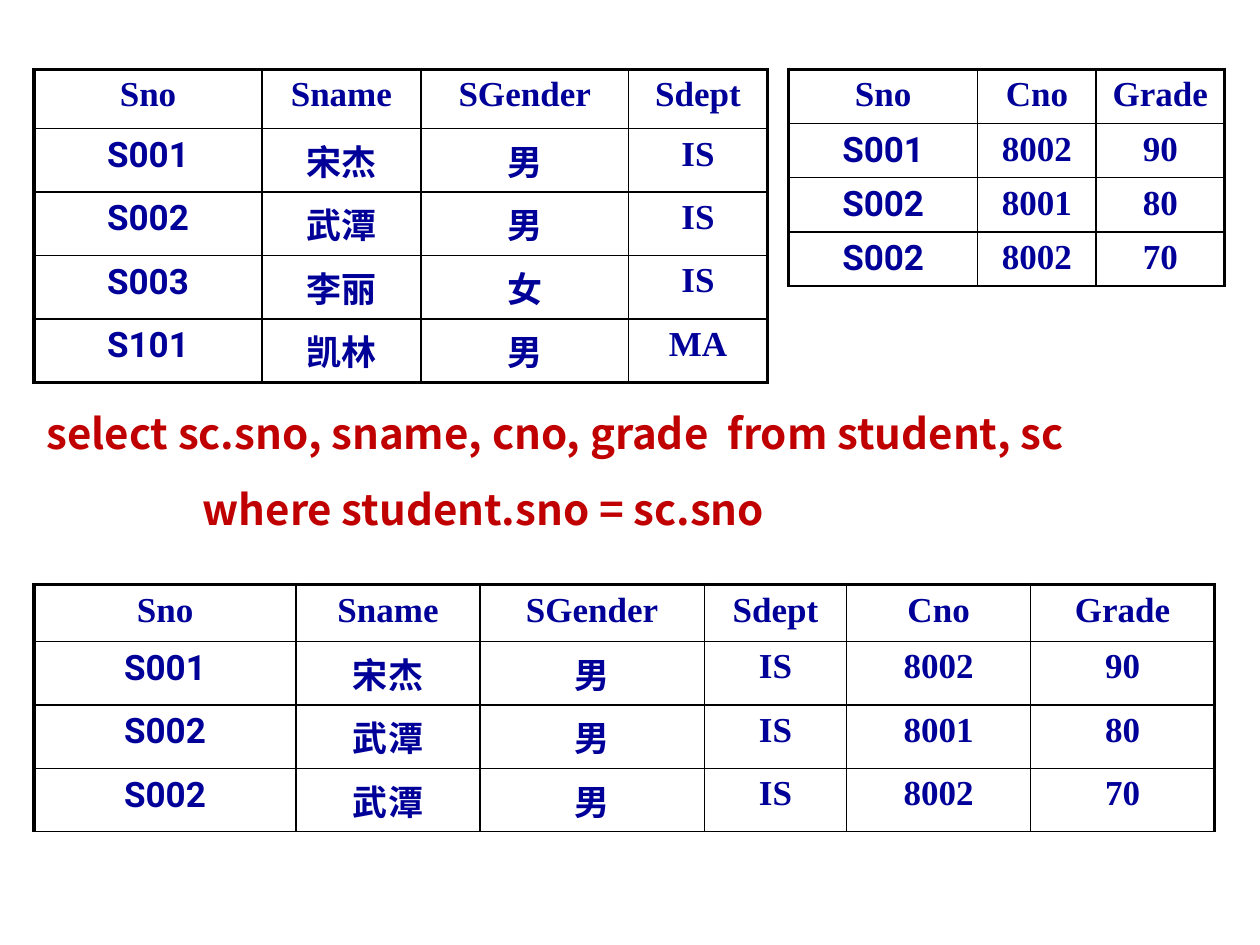
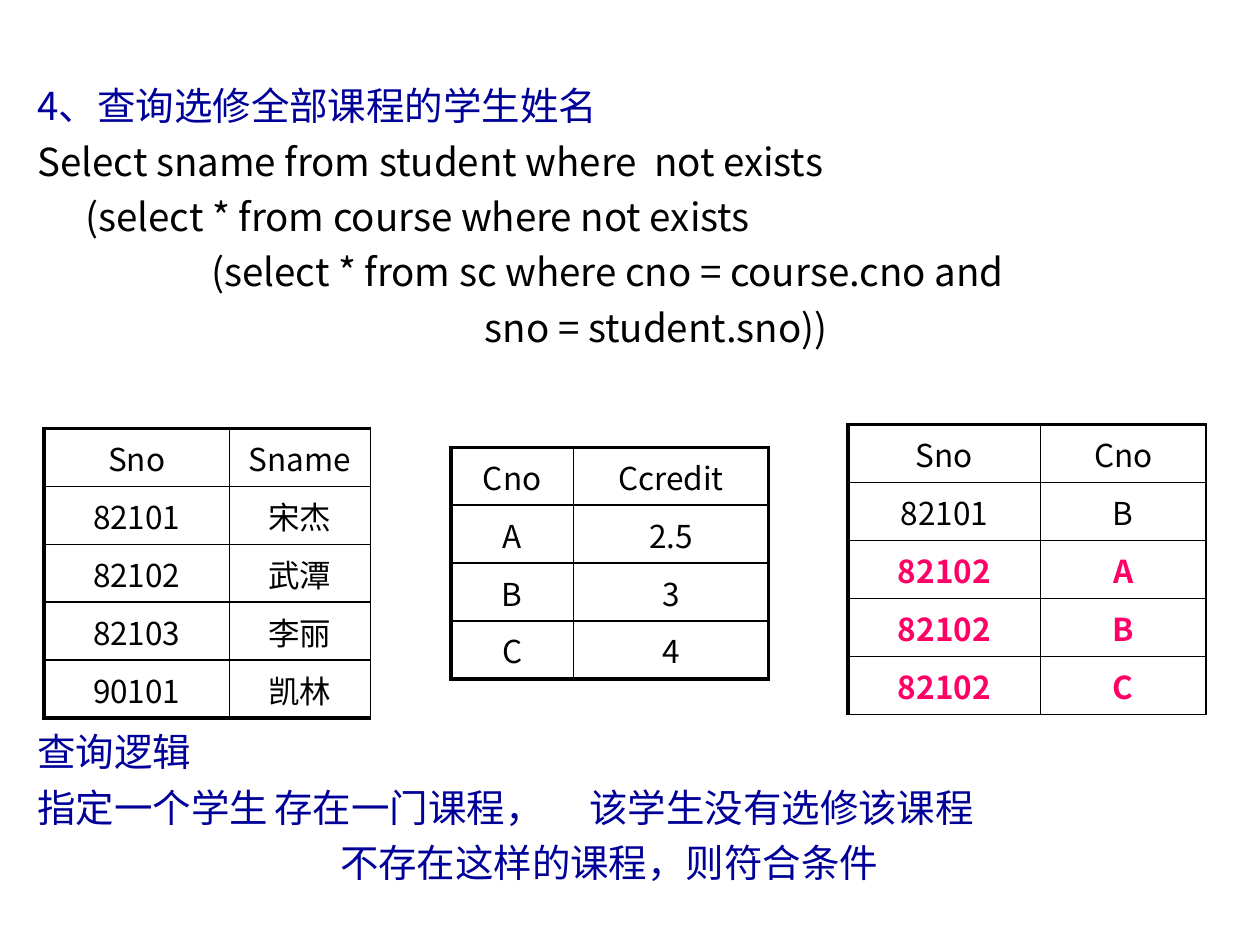
import pptx
import pptx.util
import pptx.dml.color
import pptx.enum.text
import pptx.oxml
import pptx.oxml.ns
import lxml.etree


class Theme:
    navy = "000099"
    red = "C00000"
    pink = "FF0066"
    black = "000000"
    sans = "Noto Sans CJK SC"
    serif = "Times New Roman"
    code = "Roboto"
    query = 24
    body = 22
    big = 20
    small = 18
    thick = 2.25
    thin = 1


qn = pptx.oxml.ns.qn
Pt = pptx.util.Pt
deck = pptx.Presentation()
deck.slide_width = pptx.util.Inches(10)
deck.slide_height = pptx.util.Inches(7.5)
col = deck.slide_width // 100
row = deck.slide_height // 75


def style(para, face, size, tint, bold=False):
    font = para.font
    font.name = face
    font.size = Pt(size)
    font.bold = bold
    font.color.rgb = pptx.dml.color.RGBColor.from_string(tint)
    latin = para._p.find(".//" + qn("a:latin"))
    east = lxml.etree.Element(qn("a:ea"), typeface=Theme.sans)
    latin.addnext(east)


def block(page, left, top, wide, high, lines, size, pitch, bold=False):
    frame = page.shapes.add_textbox(
        int(left * col), int(top * row), int(wide * col), int(high * row)
    ).text_frame
    frame.word_wrap = True
    for num, (text, tint, inset, hang, tabs) in enumerate(lines):
        para = frame.paragraphs[0] if num == 0 else frame.add_paragraph()
        para.text = text
        para.line_spacing = Pt(pitch)
        prop = para._p.get_or_add_pPr()
        prop.set("marL", str(int(inset * col)))
        prop.set("indent", str(int(-hang * col)))
        if tabs:
            stops = lxml.etree.SubElement(prop, qn("a:tabLst"))
            for stop in tabs:
                lxml.etree.SubElement(
                    stops, qn("a:tab"), pos=str(int(stop * col)), algn="l"
                )
        style(para, Theme.sans, size, tint, bold)
    return frame


pupils = [
    ("Sno", "Sname", "SGender", "Sdept"),
    ("S001", "宋杰", "男", "IS"),
    ("S002", "武潭", "男", "IS"),
    ("S003", "李丽", "女", "IS"),
    ("S101", "凯林", "男", "MA"),
]
marks = [
    ("Sno", "Cno", "Grade"),
    ("S001", "8002", "90"),
    ("S002", "8001", "80"),
    ("S002", "8002", "70"),
]
joined = [who + mark[1:] for mark in marks for who in pupils if who[0] == mark[0]]
names = [
    ("Sno", "Sname"),
    ("82101", "宋杰"),
    ("82102", "武潭"),
    ("82103", "李丽"),
    ("90101", "凯林"),
]
units = [("Cno", "Ccredit"), ("A", "2.5"), ("B", "3"), ("C", "4")]
picks = [("Sno", "Cno"), ("82101", "B"), ("82102", "A"), ("82102", "B"), ("82102", "C")]

join, nest = [deck.slides.add_slide(deck.slide_layouts[6]) for _ in range(2)]

grids = [
    (join, pupils, 2.7, 5.5, (18.1, 12.6, 16.5, 11), 4.7, 5, "RB"),
    (join, marks, 62.6, 5.5, (15, 9.4, 10.2), 4.3, 4.3, "R"),
    (join, joined, 2.7, 46.4, (20.8, 14.6, 17.8, 11.3, 14.6, 14.6), 4.5, 5, "R"),
    (nest, names, 3.5, 34, (14.7, 11.2), 4.6, 4.6, "B"),
    (nest, units, 35.8, 35.5, (9.7, 15.5), 4.6, 4.6, "RB"),
    (nest, picks, 67.3, 33.7, (15.3, 13.1), 4.6, 4.6, ""),
]

for page, data, left, top, wides, head, high, heavy in grids:
    last = len(data) - 1
    edge = len(wides) - 1
    table = page.shapes.add_table(
        len(data), len(wides), int(left * col), int(top * row),
        int(sum(wides) * col), int((head + high * last) * row),
    ).table
    table.first_row = False
    table.horz_banding = False
    for num, wide in enumerate(wides):
        table.columns[num].width = int(wide * col)
    for down, texts in enumerate(data):
        table.rows[down].height = int((high if down else head) * row)
        for over, text in enumerate(texts):
            cell = table.cell(down, over)
            para = cell.text_frame.paragraphs[0]
            para.text = text
            para.alignment = pptx.enum.text.PP_ALIGN.CENTER
            if page is join:
                face = Theme.code if down and not over else Theme.serif
                style(para, face, Theme.big, Theme.navy, True)
            else:
                full = data is picks and down > 1
                tint = Theme.pink if full else Theme.black
                style(para, Theme.sans, Theme.small, tint, full)
            sides = {
                "L": over == 0,
                "R": over == edge and "R" in heavy,
                "T": down == 0,
                "B": down == last and "B" in heavy,
            }
            prop = cell._tc.get_or_add_tcPr()
            for side, bold in sides.items():
                width = Pt(Theme.thick if bold else Theme.thin)
                line = lxml.etree.SubElement(prop, qn("a:ln" + side), w=str(width))
                fill = lxml.etree.SubElement(line, qn("a:solidFill"))
                lxml.etree.SubElement(fill, qn("a:srgbClr"), val=Theme.black)
            cell.fill.background()

block(join, 2.7, 29.8, 91.4, 12.4, [
    ("select sc.sno, sname, cno, grade  from student, sc", Theme.red, 0, 0, ()),
    ("where student.sno = sc.sno", Theme.red, 12.4, 0, ()),
], Theme.query, 43.5, True)

query = block(nest, 2, 1.5, 96.9, 30.6, [
    ("4、查询选修全部课程的学生姓名", Theme.navy, 3.8, 3.8, ()),
    ("Select sname from student where  not exists", Theme.black, 3.8, 3.8, ()),
    ("(select * from course where not exists", Theme.black, 3.8, 0, ()),
    ("(select * from sc where cno = course.cno and", Theme.black, 13.8, 0, ()),
    ("sno = student.sno))", Theme.black, 35.5, 0, ()),
], Theme.body, 31.6)
query.vertical_anchor = pptx.enum.text.MSO_ANCHOR.MIDDLE

block(nest, 2, 56.6, 96.9, 15.3, [
    ("查询逻辑", Theme.navy, 3.8, 3.8, ()),
    ("指定一个学生\t存在一门课程，\t该学生没有选修该课程", Theme.navy, 3.8, 3.8, (31.3, 62)),
    ("不存在这样的课程，则符合条件", Theme.navy, 24, 0, ()),
], Theme.body, 31.6)

deck.save("out.pptx")
